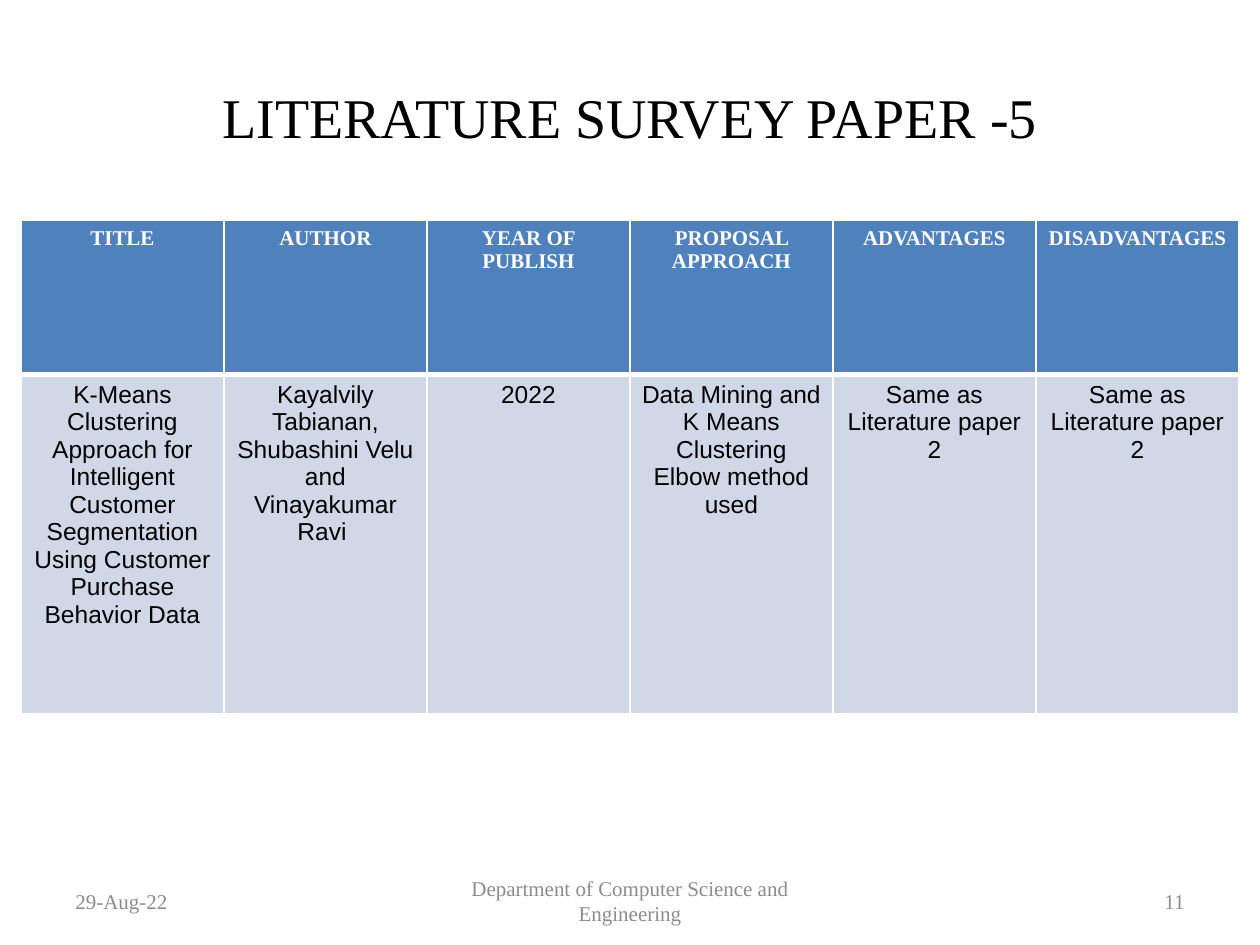
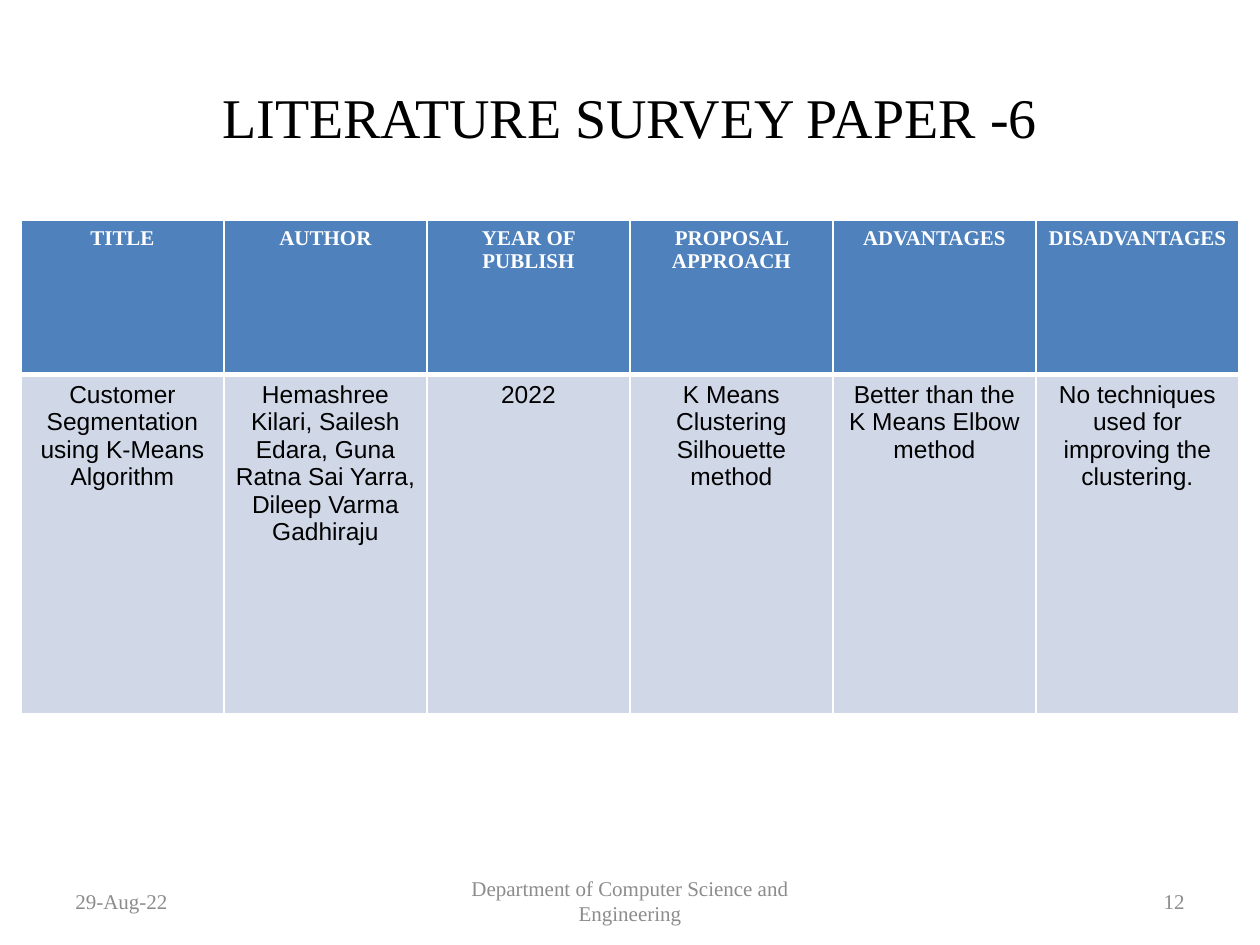
from lxml.etree import SubElement
from pptx import Presentation
from pptx.dml.color import RGBColor
from pptx.enum.text import MSO_ANCHOR, PP_ALIGN
from pptx.oxml.ns import qn
from pptx.util import Inches, Pt

WIDTH, HEIGHT = Inches(10), Inches(7.5)
COLOURS = {"ink": "000000", "muted": "8C8C8C", "white": "FFFFFF",
           "header": "4F81BD", "body": "D0D8E8"}
SERIF, SANS = "Times New Roman", "Arial"

# Text formats
TITLE = {"size": Pt(32), "name": SERIF, "colour": "ink"}
FOOTER = {"size": Pt(12), "name": SERIF, "colour": "muted"}
HEADING = {"size": Pt(12), "name": SERIF, "bold": True, "colour": "white"}
ENTRY = {"size": Pt(14), "name": SANS, "bold": False, "colour": "ink"}

# Headings and entries of the survey table
HEADINGS = ["TITLE", "AUTHOR", "YEAR OF PUBLISH", "PROPOSAL APPROACH",
            "ADVANTAGES", "DISADVANTAGES"]
FIRST_PAPER, FIRST_PAGE = 5, 11
PAPERS = [
    ["K-Means Clustering Approach for Intelligent Customer Segmentation "
     "Using Customer Purchase Behavior Data",
     "Kayalvily Tabianan, Shubashini Velu and Vinayakumar Ravi ",
     "2022",
     "Data Mining and K Means Clustering\nElbow method used",
     "Same as Literature paper 2",
     "Same as Literature paper 2"],
    ["Customer Segmentation using K-Means Algorithm",
     "Hemashree Kilari, Sailesh Edara, Guna Ratna Sai Yarra, "
     "Dileep Varma Gadhiraju",
     "2022",
     "K Means Clustering\nSilhouette method",
     "Better than the K Means Elbow method",
     "No techniques used for improving the clustering."],
]

# Shares of the slide's width and height
MARGIN = 0.05
TITLE_TOP, TITLE_HEIGHT = 0.04, 1 / 6
FOOTER_TOP, FOOTER_HEIGHT = 0.927, 0.053
SIDE_WIDTH, MIDDLE_WIDTH = 7 / 30, 19 / 60
TABLE_LEFT, TABLE_TOP = 1 / 60, 7 / 30
COLUMN_WIDTH = (1 - 2 * TABLE_LEFT) / len(HEADINGS)
ROW_HEIGHTS = [0.163, 0.359]
CELL_PADDING = Inches(0.09)

# Border widths in points: left, right, top, bottom
HEADER_BORDERS = {"a:lnL": 1, "a:lnR": 1, "a:lnT": 1, "a:lnB": 3}
ENTRY_BORDERS = {"a:lnL": 1, "a:lnR": 1, "a:lnT": 3, "a:lnB": 1}


def colour(name):
    return RGBColor.from_string(COLOURS[name])


def write(frame, text, style, align):
    """Fill a text frame; each line of the text is a paragraph."""
    frame.text = text
    frame.word_wrap = True
    for para in frame.paragraphs:
        para.alignment = align
        for span in para.runs:
            span.font.color.rgb = colour(style["colour"])
            for key, value in style.items():
                if key != "colour":
                    setattr(span.font, key, value)


def add_text(page, text, style, area, align=PP_ALIGN.CENTER):
    left, top, width, height = area
    box = page.shapes.add_textbox(int(left * WIDTH), int(top * HEIGHT),
                                  int(width * WIDTH), int(height * HEIGHT))
    write(box.text_frame, text, style, align)
    box.text_frame.vertical_anchor = MSO_ANCHOR.MIDDLE


def add_borders(cell, borders):
    properties = cell._tc.get_or_add_tcPr()
    for side, points in borders.items():
        line = SubElement(properties, qn(side), w=str(Pt(points)))
        fill = SubElement(line, qn("a:solidFill"))
        SubElement(fill, qn("a:srgbClr"), val=COLOURS["white"])


def add_survey_table(page, entries):
    rows = [(HEADINGS, HEADING, "header", HEADER_BORDERS),
            (entries, ENTRY, "body", ENTRY_BORDERS)]
    table = page.shapes.add_table(
        len(rows), len(HEADINGS),
        int(TABLE_LEFT * WIDTH), int(TABLE_TOP * HEIGHT),
        int(COLUMN_WIDTH * len(HEADINGS) * WIDTH),
        int(sum(ROW_HEIGHTS) * HEIGHT)).table
    for column in table.columns:
        column.width = int(COLUMN_WIDTH * WIDTH)
    for row, share, content in zip(table.rows, ROW_HEIGHTS, rows):
        row.height = int(share * HEIGHT)
        texts, style, fill, borders = content
        for cell, text in zip(row.cells, texts):
            write(cell.text_frame, text, style, PP_ALIGN.CENTER)
            cell.margin_left = cell.margin_right = CELL_PADDING
            add_borders(cell, borders)
            cell.fill.solid()
            cell.fill.fore_color.rgb = colour(fill)


def add_footer(page, number):
    parts = [
        ("29-Aug-22", MARGIN, SIDE_WIDTH, PP_ALIGN.LEFT),
        ("Department of Computer Science and Engineering",
         (1 - MIDDLE_WIDTH) / 2, MIDDLE_WIDTH, PP_ALIGN.CENTER),
        (str(number), 1 - MARGIN - SIDE_WIDTH, SIDE_WIDTH, PP_ALIGN.RIGHT),
    ]
    for text, left, width, align in parts:
        add_text(page, text, FOOTER,
                 (left, FOOTER_TOP, width, FOOTER_HEIGHT), align)


def main():
    deck = Presentation()
    deck.slide_width, deck.slide_height = WIDTH, HEIGHT
    blank = deck.slide_layouts[6]
    for index, entries in enumerate(PAPERS):
        page = deck.slides.add_slide(blank)
        add_text(page, f"LITERATURE SURVEY PAPER -{FIRST_PAPER + index}", TITLE,
                 (MARGIN, TITLE_TOP, 1 - 2 * MARGIN, TITLE_HEIGHT))
        add_footer(page, FIRST_PAGE + index)
        add_survey_table(page, entries)
    deck.save("out.pptx")


if __name__ == "__main__":
    main()
